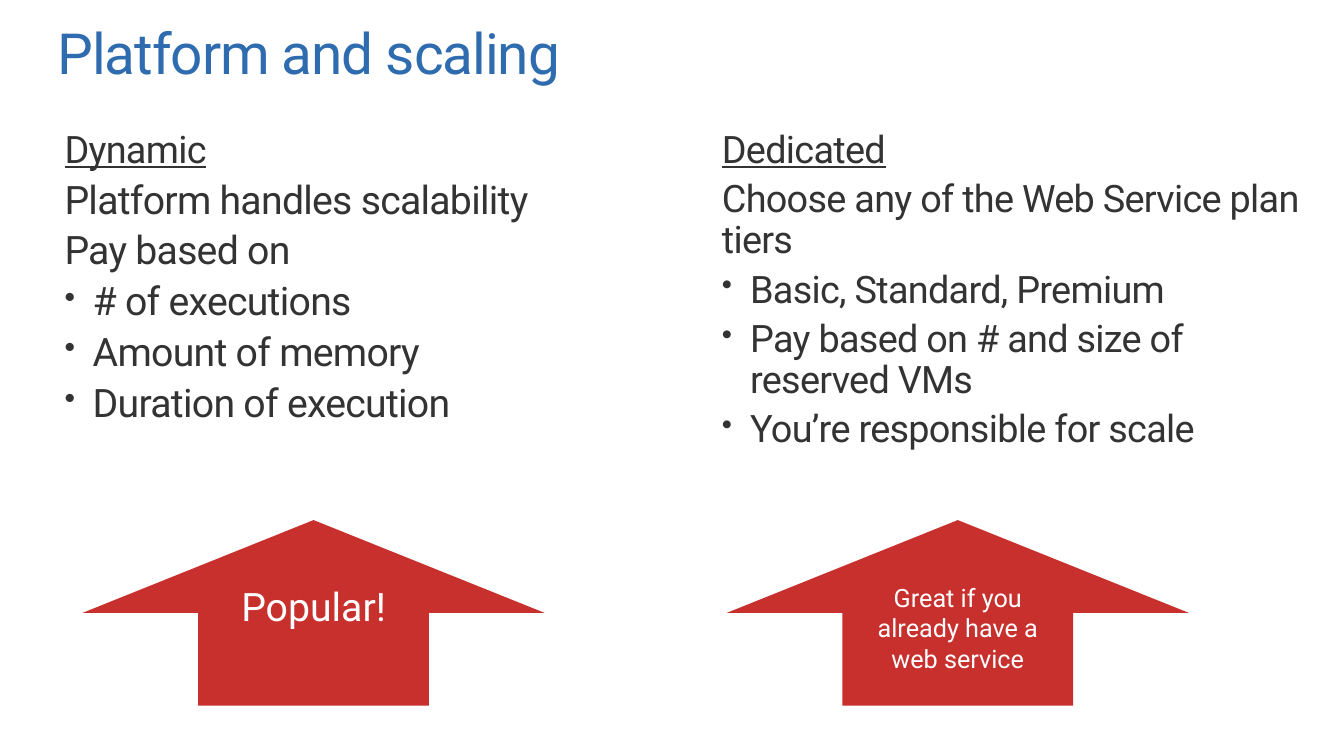
"""Build a slide that compares dynamic and dedicated platform scaling."""
from dataclasses import dataclass

from lxml import etree
from pptx import Presentation
from pptx import util as u
from pptx.dml.color import RGBColor
from pptx.enum import shapes, text
from pptx.oxml.ns import qn


@dataclass(frozen=True)
class Theme:
    font: str = "Roboto"
    blue: str = "2E6CAF"
    gray: str = "333333"
    red: str = "C8302D"
    white: str = "FFFFFF"
    title: float = 40.5
    head: float = 27
    large: float = 28
    small: float = 18


THEME = Theme()


def style(para, size, color, track=0):
    font = para.font
    font.name, font.size = THEME.font, u.Pt(size)
    font.color.rgb = RGBColor.from_string(color)
    if track:
        font._rPr.set("spc", str(track))


def add_bullet(para):
    props = para._p.get_or_add_pPr()
    indent = u.Inches(0.28)
    props.set("marL", str(indent))
    props.set("indent", str(-indent))
    etree.SubElement(props, qn("a:buSzPct")).set("val", "80000")
    etree.SubElement(props, qn("a:buChar")).set("char", "•")


def add_box(slide, left, top, width, height):
    box = slide.shapes.add_textbox(*map(u.Inches, (left, top, width, height)))
    frame = box.text_frame
    frame.word_wrap = True
    frame.margin_left = frame.margin_right = 0
    frame.margin_top = frame.margin_bottom = 0
    return frame


def add_title(slide, words):
    para = add_box(slide, 0.57, 0.25, 12.2, 0.82).paragraphs[0]
    para.text = words
    para.line_spacing = 0.9
    style(para, THEME.title, THEME.blue, -80)


def add_column(slide, place, size, head, plain, points):
    frame = add_box(slide, *place)
    lines = [head, *plain, *points]
    for index, line in enumerate(lines):
        para = frame.add_paragraph() if index else frame.paragraphs[0]
        para.text = line
        para.line_spacing = 0.9
        if index:
            para.space_before = u.Pt(6)
        if index > len(plain):
            add_bullet(para)
        style(para, size if index else THEME.head, THEME.gray, -50)
        para.font.underline = index == 0


def add_arrow(slide, left, words, size):
    arrow = slide.shapes.add_shape(
        shapes.MSO_SHAPE.UP_ARROW, *map(u.Inches, (left, 5.16, 4.58, 1.84)))
    arrow.shadow.inherit = False
    arrow.fill.solid()
    arrow.fill.fore_color.rgb = RGBColor.from_string(THEME.red)
    arrow.line.fill.background()
    frame = arrow.text_frame
    frame.word_wrap = True
    frame.vertical_anchor = text.MSO_ANCHOR.TOP
    frame.margin_left = frame.margin_right = u.Inches(0.2)
    frame.margin_top = frame.margin_bottom = u.Inches(0.16)
    para = frame.paragraphs[0]
    para.text = words
    para.alignment = text.PP_ALIGN.CENTER
    style(para, size, THEME.white)


def main():
    deck = Presentation()
    deck.slide_width, deck.slide_height = u.Inches(13.33), u.Inches(7.5)
    slide = deck.slides.add_slide(deck.slide_layouts[6])
    add_title(slide, "Platform and scaling")
    add_column(
        slide, (0.64, 1.3, 5.53, 3.86), THEME.large, "Dynamic",
        ["Platform handles scalability", "Pay based on"],
        ["# of executions", "Amount of memory", "Duration of execution"])
    add_column(
        slide, (7.16, 1.3, 5.88, 4.24), THEME.head, "Dedicated",
        ["Choose any of the Web Service plan tiers"],
        ["Basic, Standard, Premium",
         "Pay based on # and size of reserved VMs",
         "You’re responsible for scale"])
    add_arrow(slide, 0.82, "Popular!", THEME.large)
    add_arrow(slide, 7.21, "Great if you already have a web service", THEME.small)
    deck.save("out.pptx")


if __name__ == "__main__":
    main()
